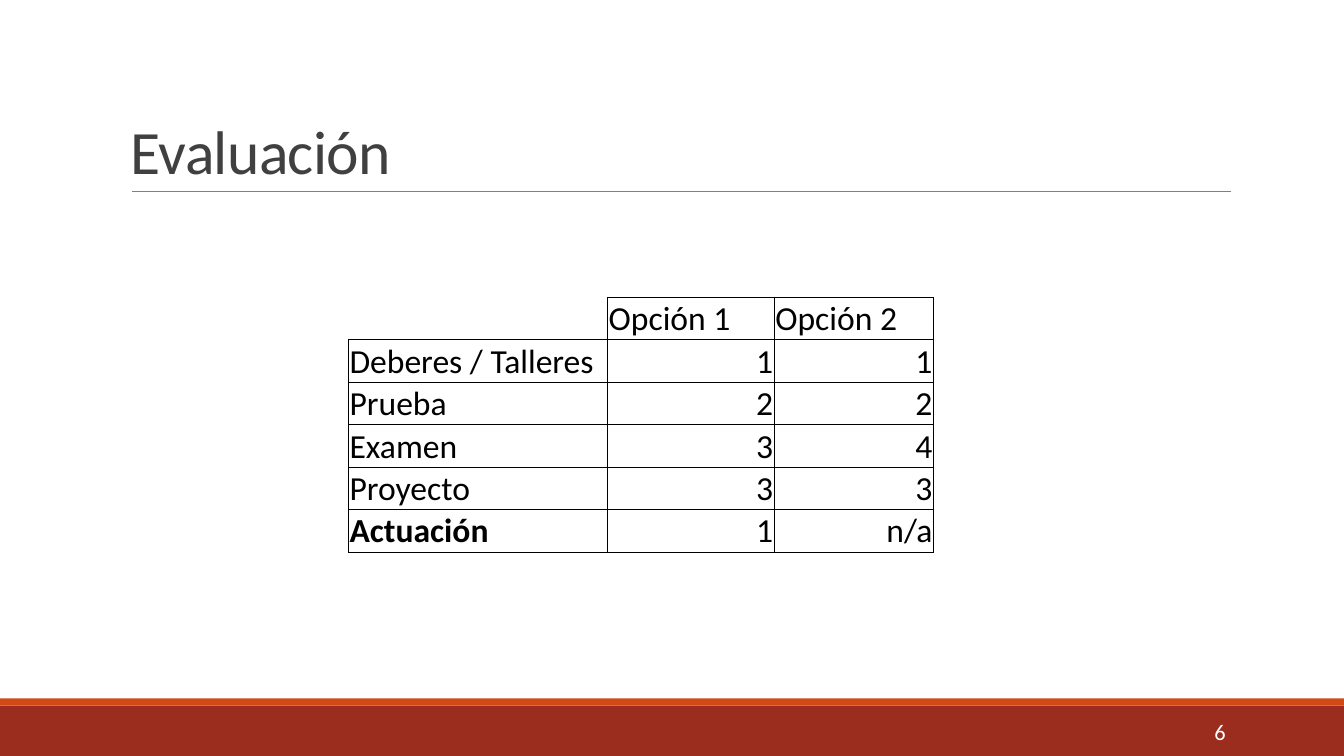
from lxml import etree
from pptx import Presentation
from pptx import util as u
from pptx.dml.color import RGBColor
from pptx.enum import shapes, text
from pptx.oxml import ns

FONT = "Calibri"
PAGE = (33.87, 19.05)
BANDS = [
    (17.78, 1.27, "9B2D1F"),
    (17.6, 0.18, "D34817"),
]
RULE = {"left": 3.33, "right": 31.01, "y": 4.83, "hue": "808080"}
TITLE = ("Evaluación", (3.05, 0.79, 27.94, 4.04))
NUM = ("6", (27.51, 17.93, 3.63, 1.02))
ROWS = [
    ("", "Opción 1", "Opción 2"),
    ("Deberes / Talleres", "1", "1"),
    ("Prueba", "2", "2"),
    ("Examen", "3", "4"),
    ("Proyecto", "3", "3"),
    ("Actuación", "1", "n/a"),
]
LEFT, TOP = 8.78, 7.49
COLS = (6.53, 4.2, 4.02)
HIGH = 1.07
CELL = {
    "margin_left": u.Cm(0.03),
    "margin_right": u.Cm(0.03),
    "margin_top": u.Cm(0.03),
    "margin_bottom": 0,
    "vertical_anchor": text.MSO_ANCHOR.BOTTOM,
}


def hue(code):
    return RGBColor.from_string(code)


def put(item, vals):
    for name, val in vals.items():
        setattr(item, name, val)


def style(font, size, code, bold=False):
    put(font, {"name": FONT, "size": u.Pt(size), "bold": bold})
    font.color.rgb = hue(code)


def label(words, box, size, code, frame, para):
    area = slide.shapes.add_textbox(*map(u.Cm, box)).text_frame
    put(area, {"word_wrap": True, **frame})
    line = area.paragraphs[0]
    put(line, para)
    run = line.add_run()
    run.text = words
    style(run.font, size, code)
    return run


def border(cell, sides):
    props = cell._tc.get_or_add_tcPr()
    for spot, side in enumerate("LRTB"):
        edge = etree.Element(ns.qn(f"a:ln{side}"), w=str(u.Pt(0.5)))
        if side in sides:
            fill = etree.SubElement(edge, ns.qn("a:solidFill"))
            etree.SubElement(fill, ns.qn("a:srgbClr"), val="000000")
        else:
            etree.SubElement(edge, ns.qn("a:noFill"))
        props.insert(spot, edge)


deck = Presentation()
put(deck, {"slide_width": u.Cm(PAGE[0]), "slide_height": u.Cm(PAGE[1])})
slide = deck.slides.add_slide(deck.slide_layouts[6])

for top, high, code in BANDS:
    band = slide.shapes.add_shape(
        shapes.MSO_SHAPE.RECTANGLE, 0, u.Cm(top), deck.slide_width, u.Cm(high))
    band.shadow.inherit = False
    band.fill.solid()
    band.fill.fore_color.rgb = hue(code)
    band.line.fill.background()

rule = slide.shapes.add_connector(
    shapes.MSO_CONNECTOR.STRAIGHT,
    *(u.Cm(RULE[key]) for key in ("left", "y", "right", "y")))
rule.line.width = u.Pt(0.5)
rule.line.color.rgb = hue(RULE["hue"])
etree.SubElement(rule._element.spPr, ns.qn("a:effectLst"))

head = label(*TITLE, 44, "404040",
             {"vertical_anchor": text.MSO_ANCHOR.BOTTOM}, {"line_spacing": 0.85})
head._r.get_or_add_rPr().set("spc", "-50")
label(*NUM, 16, "FFFFFF",
      {"vertical_anchor": text.MSO_ANCHOR.MIDDLE},
      {"alignment": text.PP_ALIGN.RIGHT})

grid = slide.shapes.add_table(
    len(ROWS), len(COLS), u.Cm(LEFT), u.Cm(TOP),
    u.Cm(sum(COLS)), u.Cm(HIGH * len(ROWS))).table
put(grid, {"first_row": False, "horz_banding": False})
for col, wide in zip(grid.columns, COLS):
    col.width = u.Cm(wide)
for r, row in enumerate(ROWS):
    grid.rows[r].height = u.Cm(HIGH)
    for c, words in enumerate(row):
        cell = grid.cell(r, c)
        put(cell, CELL)
        cell.fill.background()
        border(cell, "LRTB" if words else "RB")
        cell.text = words
        line = cell.text_frame.paragraphs[0]
        style(line.font, 24, "000000", words == "Actuación")
        if r and c:
            line.alignment = text.PP_ALIGN.RIGHT

deck.save("out.pptx")
